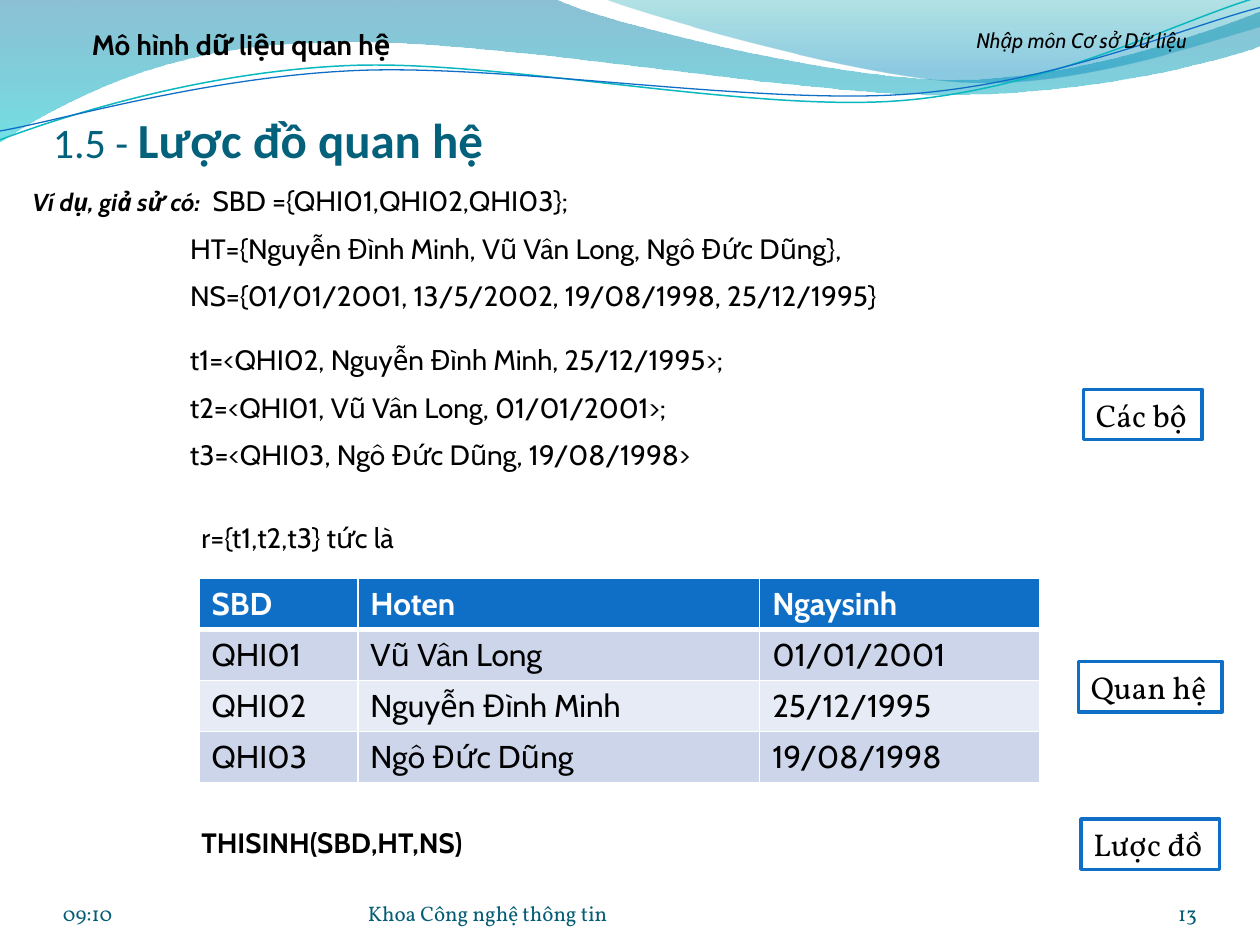
from dataclasses import dataclass
from math import cos, radians, sin

from lxml.etree import SubElement
from pptx import Presentation
from pptx.dml.color import RGBColor
from pptx.enum.shapes import MSO_SHAPE
from pptx.enum.text import MSO_ANCHOR, MSO_AUTO_SIZE, PP_ALIGN
from pptx.oxml.ns import qn
from pptx.util import Inches, Pt


@dataclass(frozen=True)
class Theme:
    sans: str = "Cabin"
    serif: str = "Vollkorn"
    heading: str = "Calibri"
    black: RGBColor = RGBColor(0x00, 0x00, 0x00)
    white: RGBColor = RGBColor(0xFF, 0xFF, 0xFF)
    blue: RGBColor = RGBColor(0x0F, 0x6F, 0xC6)
    teal: RGBColor = RGBColor(0x0A, 0xB8, 0xBF)
    title: RGBColor = RGBColor(0x04, 0x61, 0x7B)
    footer: RGBColor = RGBColor(0x04, 0x5D, 0x75)
    odd_row: RGBColor = RGBColor(0xCC, 0xD5, 0xEA)
    even_row: RGBColor = RGBColor(0xE7, 0xEB, 0xF5)
    footer_size: Pt = Pt(12)
    lead_size: Pt = Pt(14)
    body_size: Pt = Pt(16)
    table_size: Pt = Pt(18)
    number_size: Pt = Pt(24)
    title_size: Pt = Pt(28)


theme = Theme()
deck = Presentation()
deck.slide_width, deck.slide_height = Inches(10), Inches(7.5)
page = deck.slides.add_slide(deck.slide_layouts[6])


def add_outline(start, segments, closed):
    """Add a freeform; a segment is a line end (2 numbers) or a cubic curve (6 numbers)."""
    points = [(Inches(x), Inches(y)) for segment in segments
              for x, y in zip(segment[::2], segment[1::2])]
    builder = page.shapes.build_freeform(Inches(start[0]), Inches(start[1]))
    builder.add_line_segments(points, close=closed)
    outline = builder.convert_to_shape()
    outline.shadow.inherit = False
    steps = iter(list(outline.element.spPr.iter(qn("a:lnTo"))))
    for segment in segments:
        step = next(steps)
        if len(segment) == 6:
            step.tag = qn("a:cubicBezTo")
            for _ in range(2):
                control = next(steps)
                control.getparent().remove(control)
                step.append(control[0])
    return outline


def write(frame, lines, size, font=theme.sans, color=theme.black, align=PP_ALIGN.LEFT):
    """Fill a text frame; a line is a list of (text, size, bold, italic) spans or a plain string."""
    for index, line in enumerate(lines):
        para = frame.paragraphs[0] if index == 0 else frame.add_paragraph()
        para.alignment = align
        if index:
            para.space_before = Pt(8)
        spans = [(line, size, False, False)] if isinstance(line, str) else line
        for text, span_size, bold, italic in spans:
            span = para.add_run()
            span.text = text
            span.font.name, span.font.size = font, span_size
            span.font.bold, span.font.italic = bold, italic
            span.font.color.rgb = color


# Waves across the top: (start, segments, gradient stops as position, colour, opacity)
waves = [
    ((0, -0.01),
     [(4.4, -0.01), (4.76, 0.17, 6.64, 0.63, 7.58, 0.63), (8.53, 0.63, 9.58, 0.26, 10, 0.09),
      (10.01, 0.36), (9.83, 0.44, 8.7, 0.76, 7.46, 0.75), (6.22, 0.75, 3.82, 0.28, 2.57, 0.34),
      (1.29, 0.35, 0.46, 0.83, -0.01, 1.13)],
     [(0, "0074A1", 45), (1, "00C6CF", 55)]),
    ((4.79, -0.01),
     [(5.09, 0.11, 6.82, 0.62, 7.69, 0.65), (8.56, 0.69, 9.61, 0.32, 10, 0.21), (10, 0)],
     [(0, "00A1A9", 30), (0.8, "008BBF", 45)]),
]
for start, segments, stops in waves:
    wave = add_outline(start, segments, closed=True)
    wave.line.fill.background()
    wave.fill.gradient()
    wave.fill.gradient_angle = 270
    for stop, (position, color, opacity) in zip(wave.fill.gradient_stops, stops):
        stop.position = position
        stop.color.rgb = RGBColor.from_string(color)
    for color_element, (_, _, opacity) in zip(wave.element.spPr.iter(qn("a:srgbClr")), stops):
        SubElement(color_element, qn("a:alpha")).set("val", str(opacity * 1000))

# Strands are laid out level about their centre, then tilted
tilt = 2.7
cosine, sine = cos(radians(tilt)), sin(radians(tilt))
strands = [
    ((4.99, 0.575), [(0, 1.11), (0.48, 0.93), (1.58, 0.57), (2.77, 0.52), (3.95, 0.47),
                     (5.93, 0.89), (7.13, 0.8), (8.33, 0.71), (9.38, 0.15), (9.98, -0.02)],
     theme.teal, 0.85),
    ((5, 0.59), [(0, 1.04), (0.47, 0.96), (1.64, 0.61), (2.83, 0.56), (4.03, 0.51),
                 (5.97, 0.83), (7.17, 0.75), (8.36, 0.67), (9.41, 0.21), (10, 0.06)],
     theme.blue, 0.75),
]
for (center_x, center_y), points, color, width in strands:
    level = [(center_x + (x - center_x) * cosine - (y - center_y) * sine,
              center_y + (x - center_x) * sine + (y - center_y) * cosine) for x, y in points]
    curves = [sum(level[i:i + 3], ()) for i in (1, 4, 7)]
    strand = add_outline(level[0], curves, closed=False)
    strand.rotation = 360 - tilt
    strand.fill.background()
    strand.line.color.rgb, strand.line.width = color, Pt(width)

# Title and footer sit on the bottom of their boxes
title_line = [("1.5 - ", theme.number_size, False, False),
              ("Lược đồ quan hệ", theme.title_size, True, False)]
footer_style = (theme.footer_size, theme.serif, theme.footer)
bottom_boxes = [
    (0.42, 0.84, 9, 0.5, 0.05, title_line,
     (theme.title_size, theme.heading, theme.title, PP_ALIGN.LEFT)),
    (0.5, 6.95, 2.33, 0.4, 0, "09:10", (*footer_style, PP_ALIGN.LEFT)),
    (8.67, 6.95, 0.83, 0.4, 0, "13", (*footer_style, PP_ALIGN.RIGHT)),
    (2.92, 6.95, 3.67, 0.4, 0, "Khoa Công nghệ thông tin", (*footer_style, PP_ALIGN.LEFT)),
]
for left, top, width, height, inset, line, style in bottom_boxes:
    box = page.shapes.add_textbox(Inches(left), Inches(top), Inches(width), Inches(height))
    frame = box.text_frame
    frame.word_wrap, frame.vertical_anchor = True, MSO_ANCHOR.BOTTOM
    frame.margin_left = frame.margin_right = frame.margin_bottom = 0
    frame.margin_top = Inches(inset)
    write(frame, [line], *style)

# Page headings and example text
sets = [
    [("Ví dụ, giả sử có:", theme.lead_size, True, True),
     ("\tSBD ={QHI01,QHI02,QHI03};", theme.body_size, False, False)],
    "HT={Nguyễn Đình Minh, Vũ Vân Long, Ngô Đức Dũng},",
    "NS={01/01/2001, 13/5/2002, 19/08/1998, 25/12/1995}",
]
tuples = ["t1=<QHI02, Nguyễn Đình Minh, 25/12/1995>;",
          "t2=<QHI01, Vũ Vân Long, 01/01/2001>;",
          "t3=<QHI03, Ngô Đức Dũng, 19/08/1998>"]
text_boxes = [
    (7.17, 0.17, 2.83, 0.38, [[("Nhập môn Cơ sở Dữ liệu", theme.footer_size, False, True)]],
     PP_ALIGN.CENTER),
    (0.25, 0.17, 3.33, 0.37, [[("Mô hình dữ liệu quan hệ", theme.body_size, True, False)]],
     PP_ALIGN.CENTER),
    (0.16, 1.41, 9.58, 1.18, sets, PP_ALIGN.LEFT),
    (1.41, 2.67, 7.83, 1.18, tuples, PP_ALIGN.LEFT),
    (1.5, 4.08, 7.83, 0.37, ["r={t1,t2,t3} tức là"], PP_ALIGN.LEFT),
    (1.5, 6.5, 7.83, 0.37, [[("THISINH(SBD,HT,NS)", theme.body_size, True, False)]],
     PP_ALIGN.LEFT),
]
for left, top, width, height, lines, align in text_boxes:
    box = page.shapes.add_textbox(Inches(left), Inches(top), Inches(width), Inches(height))
    box.text_frame.word_wrap = True
    write(box.text_frame, lines, theme.body_size, align=align)
    if lines is sets:
        first, *indented = box.text_frame.paragraphs
        tabs = SubElement(first._p.get_or_add_pPr(), qn("a:tabLst"))
        tab = SubElement(tabs, qn("a:tab"))
        tab.set("pos", str(Inches(1.43)))
        tab.set("algn", "l")
        for para in indented:
            para._p.get_or_add_pPr().set("marL", str(Inches(1.25)))

# Relation table
rows = [("SBD", "Hoten", "Ngaysinh"),
        ("QHI01", "Vũ Vân Long", "01/01/2001"),
        ("QHI02", "Nguyễn Đình Minh", "25/12/1995"),
        ("QHI03", "Ngô Đức Dũng", "19/08/1998")]
row_fills = [theme.blue, theme.odd_row, theme.even_row, theme.odd_row]
table = page.shapes.add_table(len(rows), 3, Inches(1.58), Inches(4.59),
                              Inches(6.67), Inches(1.62)).table
for column, width in zip(table.columns, (1.26, 3.19, 2.22)):
    column.width = Inches(width)
for row_index, row in enumerate(rows):
    header = row_index == 0
    for column_index, text in enumerate(row):
        cell = table.cell(row_index, column_index)
        write(cell.text_frame, [[(text, theme.table_size, header, False)]], theme.table_size,
              color=theme.white if header else theme.black)
        properties = cell._tc.get_or_add_tcPr()
        for side in ("lnL", "lnR", "lnT", "lnB"):
            thick = (row_index, side) in ((0, "lnB"), (1, "lnT"))
            border = SubElement(properties, qn(f"a:{side}"))
            border.set("w", str(Pt(3 if thick else 1)))
            paint = SubElement(border, qn("a:solidFill"))
            SubElement(paint, qn("a:srgbClr")).set("val", str(theme.white))
        cell.fill.solid()
        cell.fill.fore_color.rgb = row_fills[row_index]

# Framed labels on the right
for text, left, top, width in [("Lược đồ", 8.58, 6.5, 1.1), ("Quan hệ", 8.56, 5.25, 1.14),
                               ("Các bộ", 8.6, 3.09, 0.94)]:
    label = page.shapes.add_shape(MSO_SHAPE.RECTANGLE, Inches(left), Inches(top),
                                  Inches(width), Inches(0.4))
    label.shadow.inherit = False
    label.fill.solid()
    label.fill.fore_color.rgb = theme.white
    label.line.color.rgb, label.line.width = theme.blue, Pt(2)
    label.text_frame.word_wrap = False
    label.text_frame.auto_size = MSO_AUTO_SIZE.SHAPE_TO_FIT_TEXT
    write(label.text_frame, [text], theme.table_size, theme.serif)

deck.save("out.pptx")
